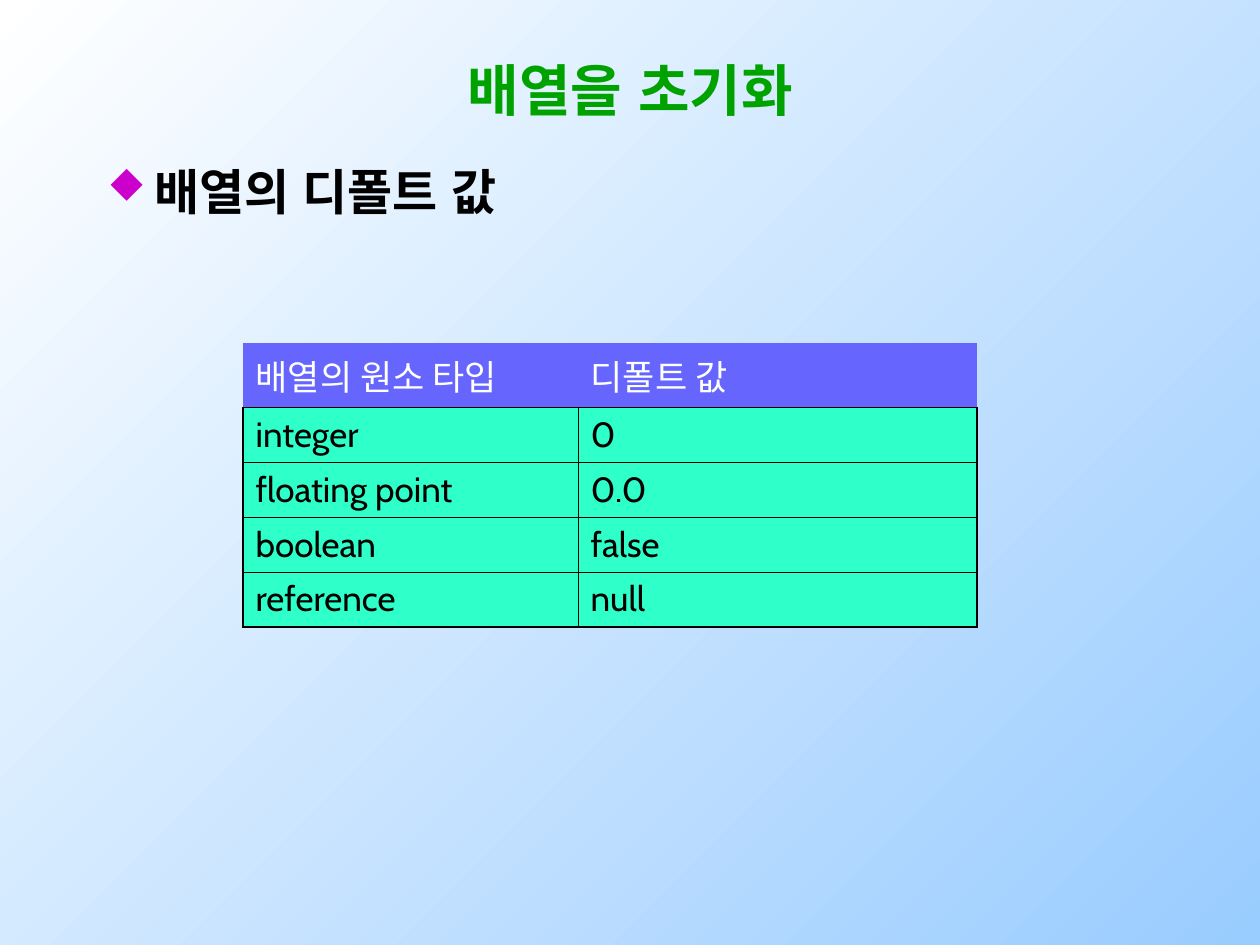
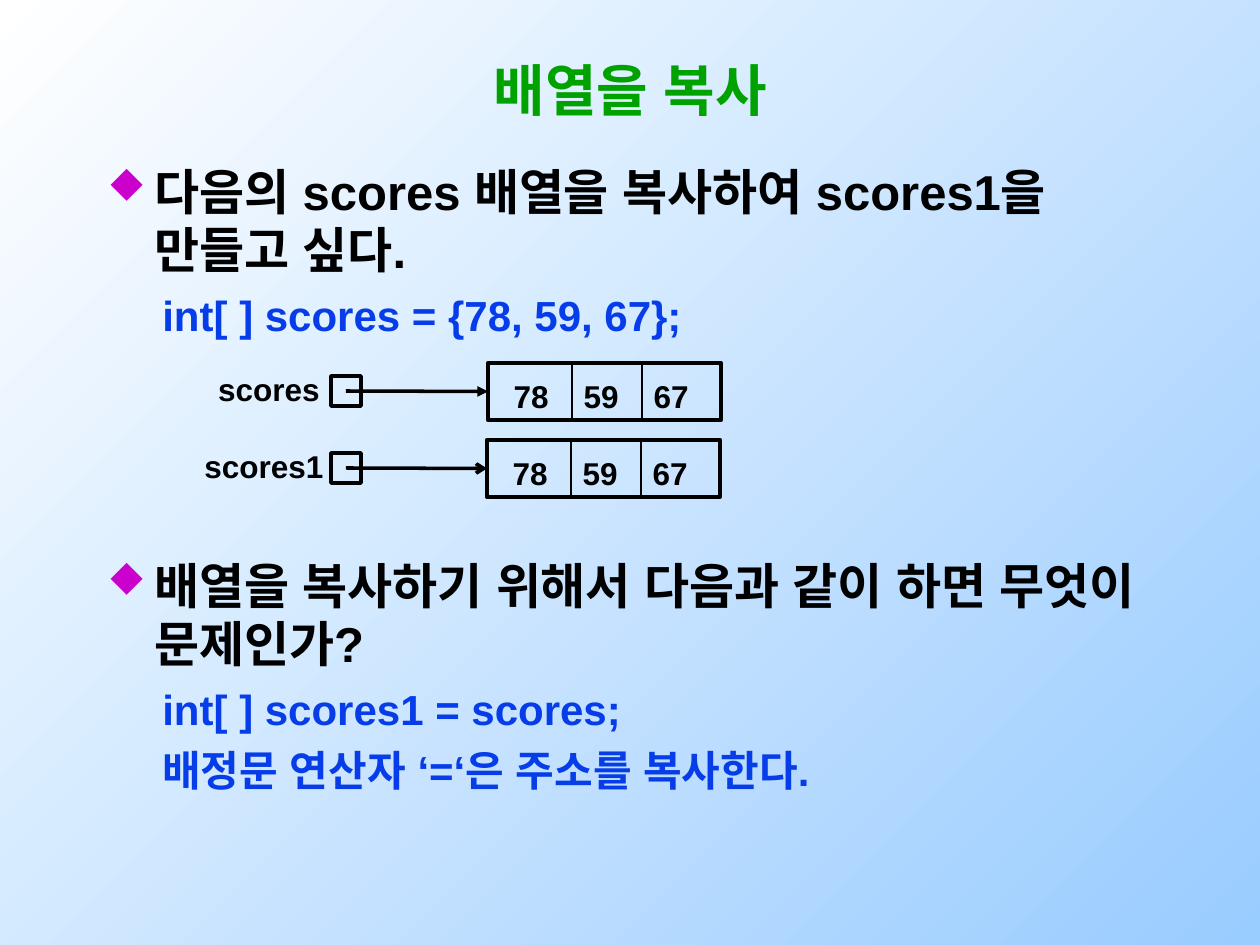
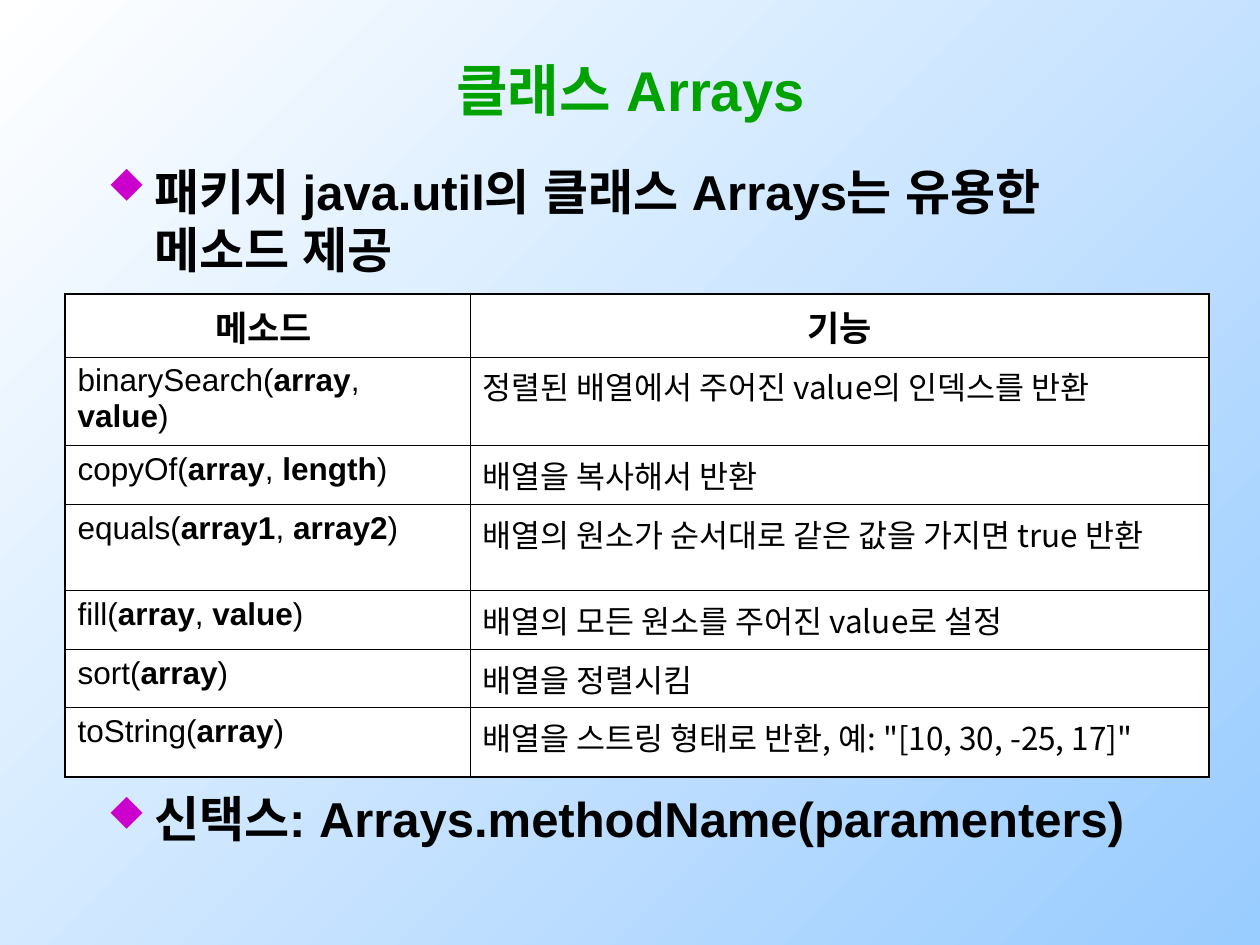
from lxml.etree import SubElement
from pptx import Presentation
from pptx.dml.color import RGBColor
from pptx.enum.shapes import MSO_CONNECTOR as CONNECTOR, MSO_SHAPE as SHAPE
from pptx.enum.text import MSO_ANCHOR as ANCHOR, PP_ALIGN as ALIGN
from pptx.oxml.ns import qn
from pptx.util import Pt

EMU_PER_PX = 914400 / 126
COLORS = {
    "white": "FFFFFF", "sky": "99CCFF", "title": "00A200", "black": "000000",
    "bullet": "CC00CC", "code": "063DE8", "header": "6666FF", "mint": "2FFFC9",
}
LATIN, TABLE_LATIN, KOREAN = "Arial", "Cabin", "Noto Sans CJK KR"
PLAIN_STYLE = "{2D5ABB26-0587-4C30-8999-92F81FD0307C}"
THIN, THICK = 0.45, 1.08

DEFAULTS = {
    "title": "배열을 초기화",
    "body": [("bullet", "배열의 디폴트 값", 0)],
    "rows": [
        ("배열의 원소 타입", "디폴트 값"),
        ("integer", "0"),
        ("floating point", "0.0"),
        ("boolean", "false"),
        ("reference", "null"),
    ],
    "heights": (64, 55, 55, 55, 55),
}
COPYING = {
    "title": "배열을 복사",
    "body": [
        ("bullet", "다음의 scores 배열을 복사하여 scores1을 만들고 싶다.", 0),
        ("code", "int[ ] scores = {78, 59, 67};", 6),
        ("bullet", "배열을 복사하기 위해서 다음과 같이 하면 무엇이 문제인가?", 123),
        ("code", "int[ ] scores1 = scores;", 6),
        ("code", "배정문 연산자 ‘=‘은 주소를 복사한다.", 6),
    ],
    "values": (78, 59, 67),
    "arrays": [("scores", 269, 139, 488, "triangle"), ("scores1", 264, 161, 487, "arrow")],
}
METHODS = {
    "title": "클래스 Arrays",
    "body": [
        ("bullet", "패키지 java.util의 클래스 Arrays는 유용한 메소드 제공", 0),
        ("bullet", "신택스: Arrays.methodName(paramenters)", 291.5),
    ],
    "header": ("메소드 ", "기능"),
    "rows": [
        ("binarySearch", ("array", "value"), "정렬된 배열에서 주어진 value의 인덱스를 반환"),
        ("copyOf", ("array", "length"), "배열을 복사해서 반환"),
        ("equals", ("array1", "array2"), "배열의 원소가 순서대로 같은 값을 가지면 true 반환"),
        ("fill", ("array", "value"), "배열의 모든 원소를 주어진 value로 설정"),
        ("sort", ("array",), "배열을 정렬시킴"),
        ("toString", ("array",), '배열을 스트링 형태로 반환, 예: "[10, 30, -25, 17]"'),
    ],
    "heights": (63, 88, 59, 86, 59, 58, 70),
}
BODY_STYLES = {
    "bullet": {"size": 28, "color": "black", "line": 33.6, "margin": 47, "bullet": "u"},
    "code": {"size": 24, "color": "code", "line": 29, "margin": 55},
}


def px(length):
    return round(length * EMU_PER_PX)


def rgb(name):
    return RGBColor.from_string(COLORS[name])


def write(paragraph, text, size=18, color="black", bold=True, latin=LATIN, asian=LATIN,
          align=ALIGN.LEFT, before=0, line=None, margin=0, bullet=None):
    paragraph.alignment = align
    paragraph.space_before = Pt(before)
    if line:
        paragraph.line_spacing = Pt(line)
    properties = paragraph._p.get_or_add_pPr()
    properties.set("marL", str(px(margin)))
    properties.set("indent", str(-px(margin) if bullet else 0))
    if bullet:
        SubElement(SubElement(properties, qn("a:buClr")), qn("a:srgbClr"), val=COLORS["bullet"])
        SubElement(properties, qn("a:buSzPct"), val="80000")
        SubElement(properties, qn("a:buFont"), typeface="Wingdings", charset="2")
        SubElement(properties, qn("a:buChar"), char=bullet)
    for part, part_bold in [(text, bold)] if isinstance(text, str) else text:
        run = paragraph.add_run()
        run.text = part
        run.font.size, run.font.bold, run.font.name = Pt(size), part_bold, latin
        run.font.color.rgb = rgb(color)
        run_properties = run._r.get_or_add_rPr()
        run_properties.set("kern", "0")
        SubElement(run_properties, qn("a:ea"), typeface=asian)


def add_frame(slide, left, top, width, height, anchor=ANCHOR.TOP):
    frame = slide.shapes.add_textbox(px(left), px(top), px(width), px(height)).text_frame
    frame.word_wrap = True
    frame.vertical_anchor = anchor
    return frame


def add_base(presentation, content):
    slide = presentation.slides.add_slide(presentation.slide_layouts[6])
    title = add_frame(slide, 95, 42, 1071, 94, ANCHOR.MIDDLE)
    write(title.paragraphs[0], content["title"], size=32, color="title", align=ALIGN.CENTER)
    body = add_frame(slide, 95, 155, 1081, 756)
    for index, (kind, text, before) in enumerate(content["body"]):
        paragraph = body.add_paragraph() if index else body.paragraphs[0]
        write(paragraph, text, before=before, **BODY_STYLES[kind])
    return slide


def set_borders(cell, widths):
    properties = cell._tc.get_or_add_tcPr()
    for index, (side, width) in enumerate(widths.items()):
        border = properties.makeelement(qn(f"a:ln{side}"), {"w": str(Pt(width))})
        if width:
            SubElement(SubElement(border, qn("a:solidFill")), qn("a:srgbClr"), val=COLORS["black"])
        else:
            SubElement(border, qn("a:noFill"))
        properties.insert(index, border)


def add_grid(slide, left, top, widths, heights):
    shape = slide.shapes.add_table(len(heights), len(widths), px(left), px(top),
                                   px(sum(widths)), px(sum(heights)))
    table = shape.table
    table._tbl.tblPr.find(qn("a:tableStyleId")).text = PLAIN_STYLE
    for column, width in zip(table.columns, widths):
        column.width = px(width)
    for row, height in zip(table.rows, heights):
        row.height = px(height)
    return table


def fill_cell(table, row, column, text, fill, anchor=ANCHOR.TOP, open_header=False, **style):
    cell = table.cell(row, column)
    cell.vertical_anchor = anchor
    cell.fill.solid()
    cell.fill.fore_color.rgb = rgb(fill)
    write(cell.text_frame.paragraphs[0], text, **style)
    if open_header and row == 0:
        widths = {"L": 0, "R": 0, "T": 0, "B": THIN}
    else:
        widths = {
            "L": THIN if column else THICK,
            "R": THICK if column == len(table.columns) - 1 else THIN,
            "T": THIN if row else THICK,
            "B": THICK if row == len(table.rows) - 1 else THIN,
        }
    set_borders(cell, widths)


def add_box(slide, left, top, width, height, weight):
    box = slide.shapes.add_shape(SHAPE.RECTANGLE, px(left), px(top), px(width), px(height))
    box.shadow.inherit = False
    box.fill.background()
    box.line.color.rgb = rgb("black")
    box.line.width = Pt(weight)
    return box


def add_line(slide, start, end, weight, arrow=None):
    line = slide.shapes.add_connector(CONNECTOR.STRAIGHT, *map(px, start + end))
    line.line.color.rgb = rgb("black")
    line.line.width = Pt(weight)
    SubElement(line._element.spPr, qn("a:effectLst"))
    if arrow:
        SubElement(line.line._get_or_add_ln(), qn("a:tailEnd"), type=arrow)
    return line


def add_array(slide, top, values, name, center, width, left, arrow):
    middle = top + 28
    add_box(slide, 331, middle - 15, 30, 30, 2)
    array = add_box(slide, left, top, 233, 57, 2.5)
    pointer = add_line(slide, (346, middle), (left, middle), 2, arrow)
    pointer.end_connect(array, 1)
    for offset in (84, 154):
        add_line(slide, (left + offset, top), (left + offset, top + 57), 1.5)
    for index, value in enumerate(values):
        number = add_frame(slide, left + 8 + 70 * index, top + 8, 70, 44)
        write(number.paragraphs[0], str(value), align=ALIGN.CENTER)
    label = add_frame(slide, center - width / 2, top + 1, width, 44)
    write(label.paragraphs[0], name, align=ALIGN.CENTER)


def signature(name, parameters):
    runs = [(name + "(", False)]
    for index, parameter in enumerate(parameters):
        if index:
            runs.append((", ", False))
        runs.append((parameter, True))
    return runs + [(")", False)]


def build_defaults(presentation):
    slide = add_base(presentation, DEFAULTS)
    table = add_grid(slide, 243, 343, (335, 399), DEFAULTS["heights"])
    for row, texts in enumerate(DEFAULTS["rows"]):
        fill, color = ("mint", "black") if row else ("header", "white")
        for column, text in enumerate(texts):
            fill_cell(table, row, column, text, fill, ANCHOR.MIDDLE, open_header=True, size=20,
                      color=color, bold=False, latin=TABLE_LATIN, asian=KOREAN, before=5)


def build_copying(presentation):
    slide = add_base(presentation, COPYING)
    for index, array in enumerate(COPYING["arrays"]):
        add_array(slide, 363 + 77 * index, COPYING["values"], *array)


def build_methods(presentation):
    slide = add_base(presentation, METHODS)
    table = add_grid(slide, 65, 294, (405, 739), METHODS["heights"])
    for column, text in enumerate(METHODS["header"]):
        fill_cell(table, 0, column, text, "white", size=20, latin=KOREAN, asian=KOREAN,
                  align=ALIGN.CENTER, before=5)
    for row, (name, parameters, purpose) in enumerate(METHODS["rows"], 1):
        fill_cell(table, row, 0, signature(name, parameters), "white", before=4.5)
        fill_cell(table, row, 1, purpose, "white", bold=False, latin=KOREAN, asian=KOREAN,
                  before=4.5)


def main():
    presentation = Presentation()
    presentation.slide_width, presentation.slide_height = px(1260), px(945)
    background = presentation.slide_master.background.fill
    background.gradient()
    background.gradient_angle = 315
    for stop, color, position in zip(background.gradient_stops, ("white", "sky"), (0, 1)):
        stop.color.rgb = rgb(color)
        stop.position = position
    for build in (build_defaults, build_copying, build_methods):
        build(presentation)
    presentation.save("out.pptx")


if __name__ == "__main__":
    main()
